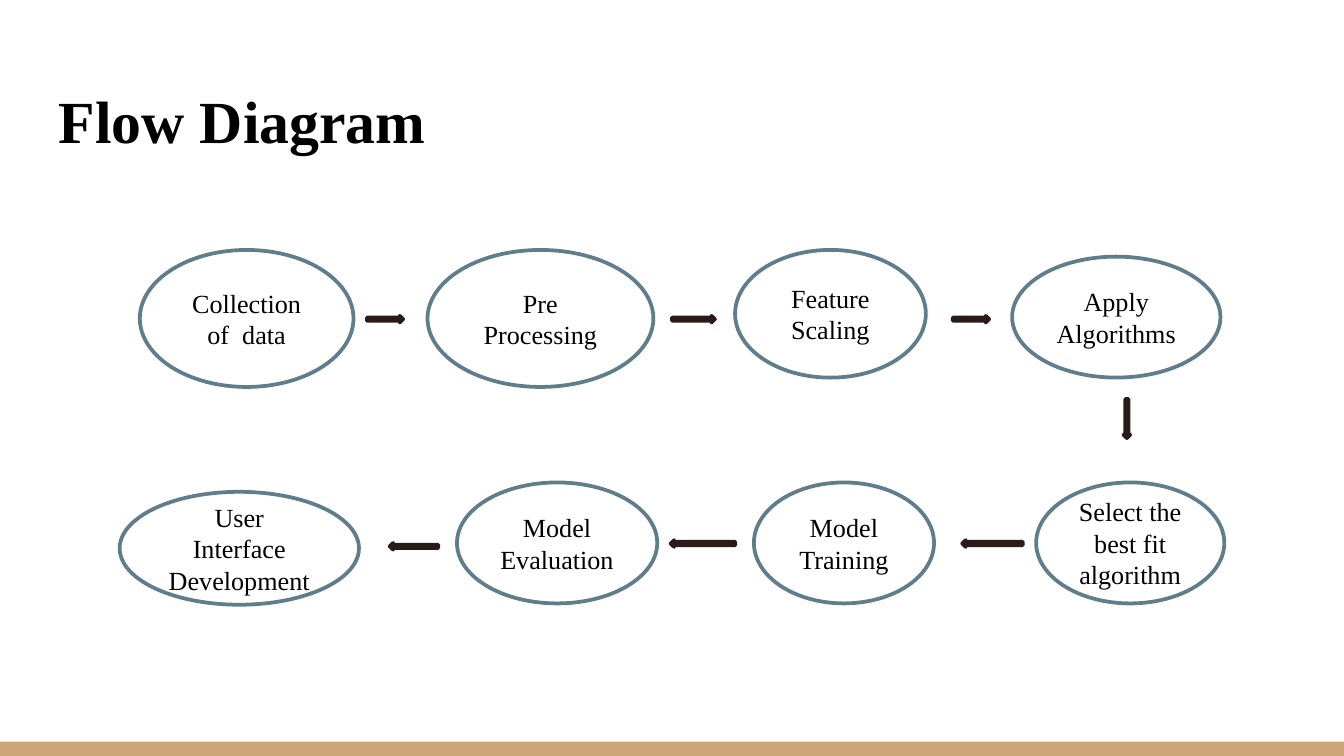
from pptx import Presentation
from pptx.dml.color import RGBColor
from pptx.enum.shapes import MSO_SHAPE
from pptx.enum.text import MSO_ANCHOR, PP_ALIGN
from pptx.util import Pt

OVAL, RECT = MSO_SHAPE.OVAL, MSO_SHAPE.RECTANGLE
RIGHT, DOWN = MSO_SHAPE.RIGHT_ARROW, MSO_SHAPE.DOWN_ARROW
MIDDLE, BOTTOM = MSO_ANCHOR.MIDDLE, MSO_ANCHOR.BOTTOM
CENTER = PP_ALIGN.CENTER

WHITE = RGBColor(0xFF, 0xFF, 0xFF)
BLACK = RGBColor(0x00, 0x00, 0x00)
TAN = RGBColor(0xCC, 0xA6, 0x77)
SLATE = RGBColor(0x60, 0x7D, 0x8B)
BROWN = RGBColor(0x5D, 0x40, 0x37)
DARK = RGBColor(0x29, 0x1C, 0x18)

FONT = "Times New Roman"
THIN = 3.6  # thickness of every arrow

# Steps in flow order: text, left, top, width, height
STEPS = [
    ("Collection of  data", 74.9, 133.9, 114.5, 73.4),
    ("Pre Processing", 229, 133.9, 121, 73.4),
    ("Feature Scaling", 393.8, 133.9, 102.2, 68.4),
    ("Apply Algorithms", 542.2, 137.5, 111.6, 64.8),
    ("Select the best fit algorithm", 555.1, 258.5, 100.8, 64.8),
    ("Model Training", 403.9, 258.5, 96.5, 64.8),
    ("Model Evaluation", 244.8, 258.5, 107.3, 64.8),
    ("User Interface Development", 64.1, 263.5, 128.2, 60.5),
]

# Arrows in flow order: kind, left, top, length, turn
ARROWS = [
    (RIGHT, 196.6, 169.2, 19.4, 0),
    (RIGHT, 360, 169.2, 23, 0),
    (RIGHT, 510.5, 169.2, 19.4, 0),
    (DOWN, 601.9, 213.8, 20.9, 0),
    (RIGHT, 515.5, 289.4, 32.4, 180),
    (RIGHT, 359.3, 289.4, 34.6, 180),
    (RIGHT, 208.8, 290.9, 25.9, 180),
]


def add_run(para, text, size, bold=False):
    run = para.add_run()
    run.text = text
    font = run.font
    font.name, font.size, font.bold = FONT, Pt(size), bold
    font.color.rgb = BLACK


def add_form(slide, kind, box, fill, line=None):
    form = slide.shapes.add_shape(kind, *map(Pt, box))
    form.shadow.inherit = False
    form.fill.solid()
    form.fill.fore_color.rgb = fill
    if line is None:
        form.line.fill.background()
    else:
        form.line.color.rgb = line
        form.line.width = Pt(2)
    return form


def add_title(slide, text):
    box = slide.shapes.add_textbox(Pt(24.5), Pt(25.2), Pt(671), Pt(65.5))
    frame = box.text_frame
    frame.word_wrap = True
    frame.vertical_anchor = BOTTOM
    frame.margin_left = frame.margin_right = Pt(7.2)
    frame.margin_top = frame.margin_bottom = Pt(7.2)
    add_run(frame.paragraphs[0], text, 32, True)


def add_step(slide, text, *box):
    frame = add_form(slide, OVAL, box, WHITE, SLATE).text_frame
    frame.word_wrap = True
    frame.vertical_anchor = MIDDLE
    para = frame.paragraphs[0]
    para.alignment = CENTER
    add_run(para, text, 14)


def add_arrow(slide, kind, left, top, length, turn):
    size = (THIN, length) if kind == DOWN else (length, THIN)
    arrow = add_form(slide, kind, (left, top, *size), BROWN, DARK)
    arrow.rotation = turn


def main():
    prs = Presentation()
    prs.slide_width, prs.slide_height = Pt(720), Pt(405)
    slide = prs.slides.add_slide(prs.slide_layouts[6])

    # Footer band and title
    add_form(slide, RECT, (0, 397.3, 720, 7.7), TAN)
    add_title(slide, "Flow Diagram")

    # Flow
    for step in STEPS:
        add_step(slide, *step)
    for arrow in ARROWS:
        add_arrow(slide, *arrow)

    prs.save("out.pptx")


if __name__ == "__main__":
    main()
